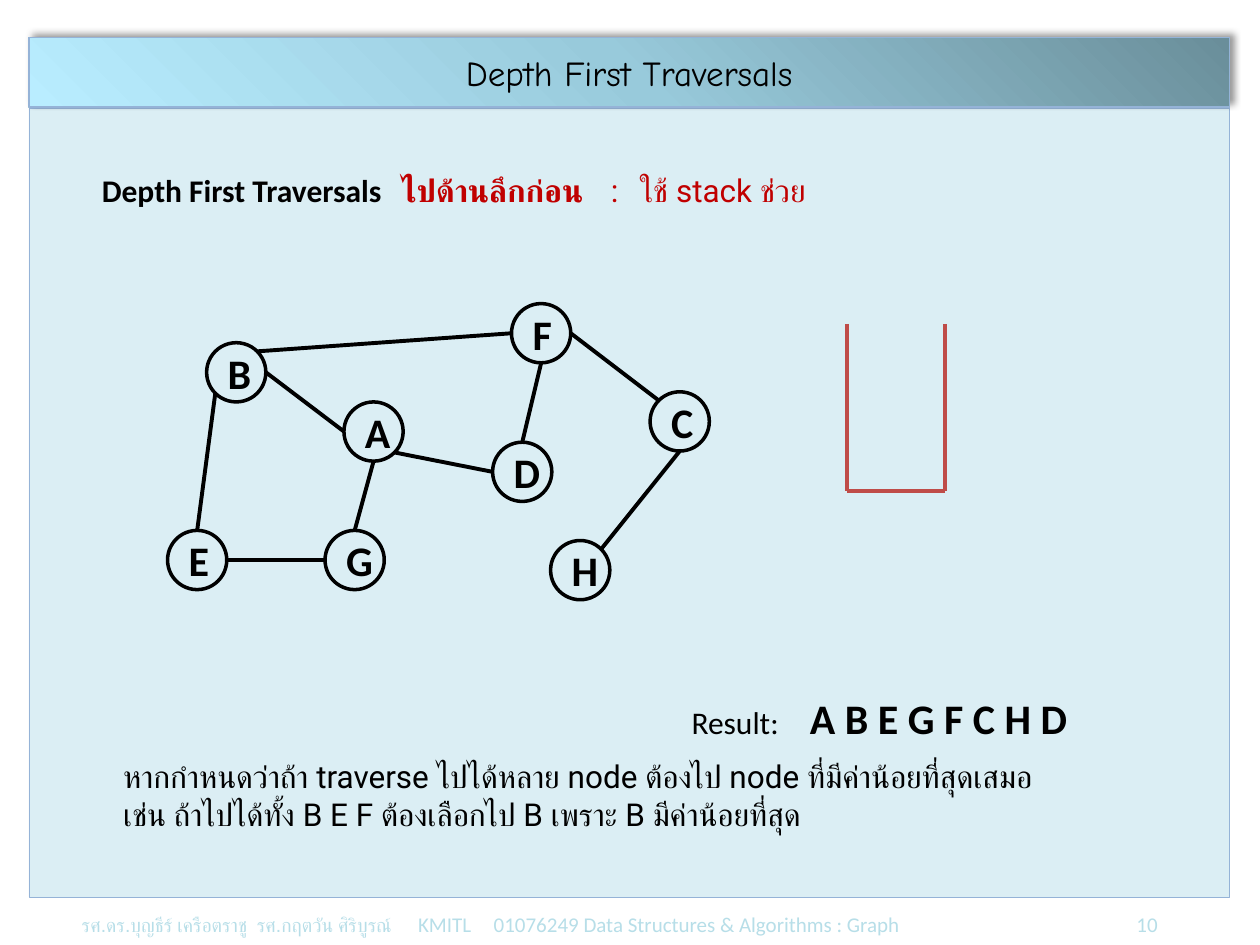
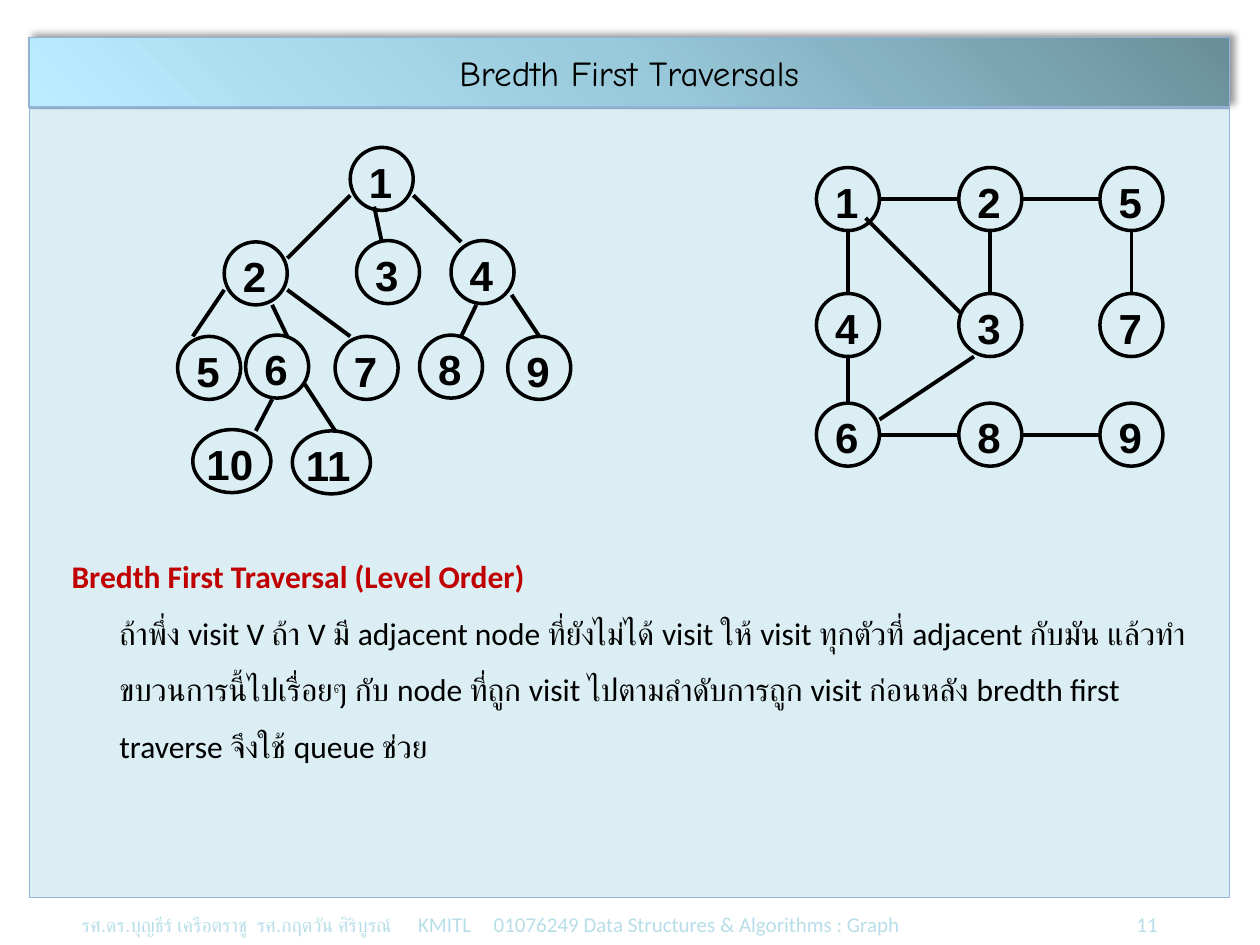
"""Build two slides on depth first and breadth first graph traversal."""
import math
import pptx
import pptx.util
import pptx.dml.color
import pptx.enum.shapes
import pptx.enum.text
import pptx.oxml
import pptx.oxml.ns

Inches, Pt = pptx.util.Inches, pptx.util.Pt
RGB = pptx.dml.color.RGBColor.from_string
Shape = pptx.enum.shapes.MSO_SHAPE
Align = pptx.enum.text.PP_ALIGN
Anchor = pptx.enum.text.MSO_ANCHOR
qn, nsdecls = pptx.oxml.ns.qn, pptx.oxml.ns.nsdecls("a")


class Theme:
    ink, red, stack = "000000", "C00000", "BF4C48"
    panel, edge, foot = "DBEEF4", "95B3D7", "B7DEE8"
    band = ((0, "6A8E9A"), (50, "98CADB"), (100, "B9EDFF"))
    sans, head, thai, mark = "Calibri", "Comic Neue", "Roboto", "Arial"
    small, note, gap, body, title, node = 11, 12, 16, 18, 20, 24
    ring, link = 2, 2.25


def put(home, kind, box, fill=None, edge=None, width=Theme.ring):
    box = [Inches(v) for v in box]
    if kind == "text":
        item = home.shapes.add_textbox(*box)
        item.text_frame.word_wrap = True
        return item
    if kind == "line":
        item = home.shapes.add_connector(pptx.enum.shapes.MSO_CONNECTOR.STRAIGHT, *box)
    else:
        item = home.shapes.add_shape(kind, *box)
        item.shadow.inherit = False
        if fill:
            item.fill.solid()
            item.fill.fore_color.rgb = RGB(fill)
        else:
            item.fill.background()
    item.line.color.rgb = RGB(edge or Theme.ink)
    item.line.width = Pt(width)
    if kind == "line":
        item._element.spPr.append(pptx.oxml.parse_xml(f"<a:effectLst {nsdecls}/>"))
    return item


def write(item, runs, align=Align.LEFT, anchor=Anchor.TOP, tabs=()):
    frame = item.text_frame
    frame.vertical_anchor = anchor
    para = frame.paragraphs[0]
    para.alignment = align
    for words, size, font, color, bold in runs:
        for i, part in enumerate(words.split("\n")):
            if i:
                para.add_line_break()
            if part:
                run = para.add_run()
                run.text = part
                run.font.size, run.font.name, run.font.bold = Pt(size), font, bold
                run.font.color.rgb = RGB(color)
    if tabs:
        stops = "".join(f'<a:tab pos="{Inches(at)}" algn="{side}"/>' for at, side in tabs)
        para._p.get_or_add_pPr().append(
            pptx.oxml.parse_xml(f"<a:tabLst {nsdecls}>{stops}</a:tabLst>"))
    return para


deck = pptx.Presentation()
deck.slide_width, deck.slide_height = Inches(10), Inches(7.5)

pages = []
for page, title in ((10, "Depth First Traversals"), (11, "Bredth First Traversals")):
    slide = deck.slides.add_slide(deck.slide_layouts[6])
    pages.append(slide)
    put(slide, Shape.RECTANGLE, (0.23, 0.86, 9.53, 6.26), Theme.panel, Theme.edge, 0.25)
    foot = put(slide, "text", (0.55, 7.13, 8.98, 0.37))
    write(foot, [
        ("รศ.ดร.บุญธีร์ เครือตราชู\tรศ.กฤตวัน ศิริบูรณ์", Theme.small, Theme.mark, Theme.foot, False),
        ("\tKMITL\t01076249 Data Structures & Algorithms : Graph",
         Theme.note, Theme.sans, Theme.foot, False),
        ("\t", Theme.gap, Theme.sans, Theme.foot, False),
        (str(page), Theme.note, Theme.sans, Theme.foot, False),
    ], tabs=((1.39, "l"), (2.67, "l"), (3.27, "l"), (8.54, "r")))
    band = put(slide, Shape.RECTANGLE, (0.23, 0.3, 9.53, 0.55), Theme.panel, Theme.edge, 0.75)
    props = band._element.spPr
    stops = "".join(f'<a:gs pos="{at * 1000}"><a:srgbClr val="{color}"/></a:gs>'
                    for at, color in Theme.band)
    props.replace(props.find(qn("a:solidFill")), pptx.oxml.parse_xml(
        f'<a:gradFill {nsdecls} rotWithShape="1"><a:gsLst>{stops}</a:gsLst>'
        f'<a:lin ang="{135 * 60000}" scaled="0"/></a:gradFill>'))
    props.replace(props.find(qn("a:effectLst")), pptx.oxml.parse_xml(
        f'<a:effectLst {nsdecls}><a:outerShdw blurRad="{Pt(4)}" dist="{Pt(3)}"'
        f' dir="{315 * 60000}" algn="bl" rotWithShape="0"><a:srgbClr val="{Theme.ink}">'
        '<a:alpha val="40000"/></a:srgbClr></a:outerShdw></a:effectLst>'))
    write(band, [(title, Theme.title, Theme.head, Theme.ink, False)], Align.CENTER, Anchor.MIDDLE)

depth, breadth = pages

graph = depth.shapes.add_group_shape()
size = 0.47
spots = {"A": (2.73, 3.19), "G": (2.58, 4.21), "B": (1.64, 2.72), "E": (1.33, 4.21),
         "C": (5.16, 3.11), "H": (4.37, 4.29), "F": (4.06, 2.41), "D": (3.91, 3.51)}
for name, (x, y) in spots.items():
    ring = put(graph, Shape.OVAL, (x, y, size, size))
    write(ring, [(name, Theme.node, Theme.sans, Theme.ink, True)], Align.CENTER, Anchor.MIDDLE)

turns = {"E": 0, "SE": 45, "S": 90, "SW": 135, "W": 180, "NW": 225, "N": 270, "NE": 315}
for pair in ("E N B SW", "E E G W", "G N A S", "B E A W", "B NE F W",
             "F E C NW", "H NE C S", "D N F S", "A SE D W"):
    start, out, end, into = pair.split()
    ends = []
    for name, side in ((start, out), (end, into)):
        turn = math.radians(turns[side])
        x, y = spots[name]
        ends += [x + size / 2 * (1 + math.cos(turn)), y + size / 2 * (1 + math.sin(turn))]
    put(graph, "line", ends, width=Theme.link)

stack = depth.shapes.add_group_shape()
left, right, top, base = 6.72, 7.5, 2.57, 3.9
for ends in ((left, top, left, base), (right, top, right, base), (right, base, left, base)):
    put(stack, "line", ends, edge=Theme.stack, width=Theme.link)

intro = put(depth, "text", (0.71, 1.31, 6.2, 0.4))
write(intro, [
    ("Depth First Traversals\t", Theme.body, Theme.sans, Theme.ink, True),
    ("ไปด้านลึกก่อน\t", Theme.body, Theme.thai, Theme.red, True),
    (":\tใช้ stack ช่วย", Theme.body, Theme.thai, Theme.red, False),
], tabs=((2.38, "l"), (4.04, "l"), (4.27, "l")))

notes = depth.shapes.add_group_shape()
for box, words, size, font, bold in (
    ((5.39, 5.53, 1.56, 0.57), "Result:", Theme.body, Theme.sans, False),
    ((6.33, 5.45, 2.27, 0.5), "A B E G F C H D", Theme.node, Theme.sans, True),
    ((0.88, 5.96, 8.54, 0.71),
     "หากกำหนดว่าถ้า traverse ไปได้หลาย node ต้องไป node ที่มีค่าน้อยที่สุดเสมอ\n"
     "เช่น ถ้าไปได้ทั้ง B E F ต้องเลือกไป B เพราะ B มีค่าน้อยที่สุด",
     Theme.body, Theme.thai, False),
):
    write(put(notes, "text", box), [(words, size, font, Theme.ink, bold)])

text = put(breadth, "text", (0.47, 4.22, 9.06, 2.42))
para = write(text, [
    ("Bredth First Traversal (Level Order)\n", Theme.body, Theme.sans, Theme.red, True),
    ("ถ้าพึ่ง visit V ถ้า V มี adjacent node ที่ยังไม่ได้ visit ให้ visit ทุกตัวที่ adjacent กับมัน "
     "แล้วทำขบวนการนี้ไปเรื่อยๆ กับ node ที่ถูก visit ไปตามลำดับการถูก visit ก่อนหลัง "
     "bredth first traverse จึงใช้ queue ช่วย", Theme.body, Theme.sans, Theme.ink, False),
])
para.line_spacing, para.space_before = 1.5, Pt(3.6)
hang = para._p.get_or_add_pPr()
hang.set("marL", str(Inches(0.38)))
hang.set("indent", str(-Inches(0.38)))

tree = {"1": (2.78, 1.17), "2": (1.78, 1.92), "3": (2.83, 1.91), "4": (3.58, 1.91),
        "5": (1.41, 2.67), "6": (1.95, 2.66), "7": (2.66, 2.67), "8": (3.33, 2.66),
        "9": (4.03, 2.67), "10": (1.53, 3.41), "11": (2.32, 3.42)}
boughs = ((2.78, 1.55, 2.28, 2.05), (2.97, 1.64, 3.03, 1.92), (3.28, 1.55, 3.66, 1.92),
          (1.78, 2.3, 1.53, 2.67), (2.28, 2.3, 2.78, 2.67), (2.16, 2.42, 2.28, 2.67),
          (3.78, 2.42, 3.66, 2.67), (4.06, 2.34, 4.28, 2.67), (2.16, 3.17, 2.03, 3.42),
          (2.42, 3.05, 2.66, 3.42))

cols, rows, size = (6.48, 7.61, 8.73), (1.33, 2.33, 3.2), 0.5
mesh = {name: (x, y) for y, names in zip(rows, ("125", "437", "689"))
        for x, name in zip(cols, names)}
links = [(mesh[a][0] + size, mesh[a][1] + size / 2, mesh[b][0], mesh[b][1] + size / 2)
         for a, b in ("12", "25", "68", "89")]
links += [(mesh[a][0] + size / 2, mesh[a][1] + size, mesh[b][0] + size / 2, mesh[b][1])
          for a, b in ("14", "46", "23", "57")]
links += [(6.87, 1.73, 7.62, 2.48), (7.73, 2.83, 6.98, 3.33)]

for nodes, edges in ((tree, boughs), (mesh, links)):
    group = breadth.shapes.add_group_shape()
    for name, (x, y) in nodes.items():
        wide, shift = (0.62, 0.01) if len(name) > 1 else (size, 0.05)
        put(group, Shape.OVAL, (x, y, wide, size))
        label = put(group, "text", (x + shift, y + 0.02, wide, size))
        para = write(label, [(name, Theme.node, Theme.mark, Theme.ink, True)])
        para.space_after = Pt(10)
    for ends in edges:
        put(group, "line", ends, width=Theme.link)

deck.save("out.pptx")
